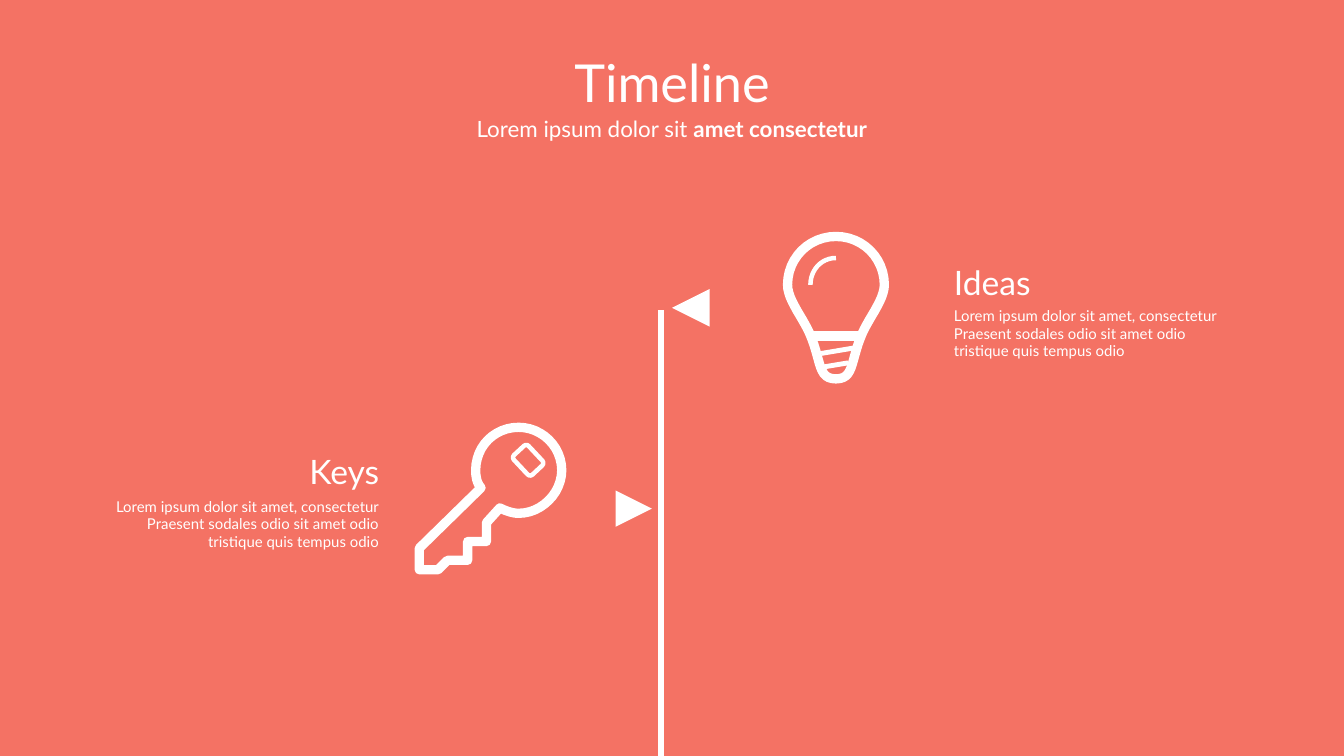
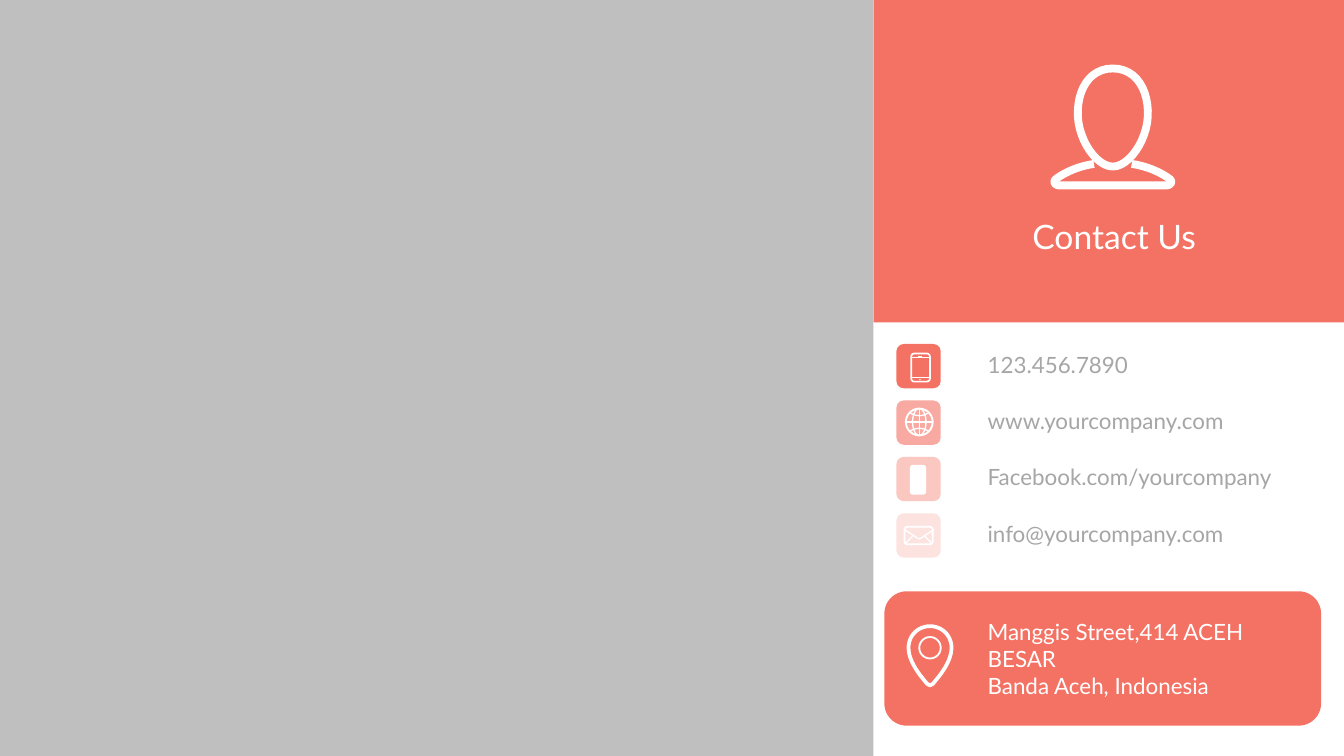
"""Build a timeline slide and a contact slide with line-drawn icons."""
from dataclasses import dataclass

from lxml import etree
from pptx import Presentation
from pptx.dml.color import RGBColor
from pptx.enum.shapes import MSO_CONNECTOR, MSO_SHAPE
from pptx.enum.text import MSO_ANCHOR, PP_ALIGN
from pptx.oxml.ns import qn
from pptx.util import Inches, Pt

RECT = MSO_SHAPE.RECTANGLE
ROUNDED = MSO_SHAPE.ROUNDED_RECTANGLE
OVAL = MSO_SHAPE.OVAL
TRIANGLE = MSO_SHAPE.FLOWCHART_EXTRACT
STRAIGHT = MSO_CONNECTOR.STRAIGHT
LEFT, CENTER, RIGHT = PP_ALIGN.LEFT, PP_ALIGN.CENTER, PP_ALIGN.RIGHT
TOP, MIDDLE = MSO_ANCHOR.TOP, MSO_ANCHOR.MIDDLE

FONT = "Lato"
COLORS = {
    "coral": "F47264",
    "coral_75": "F8AAA2",
    "coral_50": "FBC7C1",
    "coral_25": "FDE3E0",
    "white": "FFFFFF",
    "photo": "BFBFBF",
    "contact": "A6A6A6",
}
SLIDE_WIDTH = Inches(10)
SLIDE_HEIGHT = SLIDE_WIDTH * 9 // 16
CURVE_STEPS = 12
LOREM = ("Lorem ipsum dolor sit amet, consectetur Praesent sodales odio "
         "sit amet odio tristique quis tempus odio")

Point = tuple[float, float]
Box = tuple[float, float, float, float]


@dataclass(frozen=True)
class Stroke:
    """A path of points and six-number curves, mirrored about an axis if given."""
    start: Point
    segments: list[tuple[float, ...]]
    weight: float
    closed: bool = False
    axis: float | None = None

    def points(self) -> list[Point]:
        """Return the path as points, with its curves sampled."""
        found = [self.start]
        for segment in self.segments:
            if len(segment) == 2:
                found.append(segment)
                continue
            corners = [found[-1], segment[:2], segment[2:4], segment[4:]]
            for step in range(1, CURVE_STEPS + 1):
                t = step / CURVE_STEPS
                shares = ((1 - t) ** 3, 3 * t * (1 - t) ** 2,
                          3 * t * t * (1 - t), t ** 3)
                found.append((sum(s * c[0] for s, c in zip(shares, corners)),
                              sum(s * c[1] for s, c in zip(shares, corners))))
        if self.axis is not None:
            found += [(2 * self.axis - x, y) for x, y in reversed(found)]
        return found


@dataclass(frozen=True)
class Ring:
    """A preset shape drawn as an outline, or solid where the weight is zero."""
    kind: int
    box: Box
    weight: float = 0
    rotation: float = 0


Icon = list[Stroke | Ring]


@dataclass(frozen=True)
class Milestone:
    """One stop on the timeline, with its heading, pointer and icon."""
    heading: str
    heading_box: Box
    body_box: Box
    align: int
    pointer_box: Box
    pointer_rotation: float
    icon: Icon


@dataclass(frozen=True)
class Contact:
    """One contact row with its badge colour and icon."""
    label: str
    color: str
    icon: Icon


KEY: Icon = [
    Stroke((3.58, 3.63), [
        (3.12, 4.08), (3.12, 4.24), (3.26, 4.24), (3.33, 4.17), (3.48, 4.17),
        (3.48, 4.03), (3.62, 4.03), (3.62, 3.89), (3.72, 3.78),
        (3.76, 3.8, 3.81, 3.82, 3.86, 3.82),
        (4.03, 3.82, 4.18, 3.67, 4.18, 3.5),
        (4.18, 3.32, 4.03, 3.18, 3.86, 3.18),
        (3.68, 3.18, 3.54, 3.32, 3.54, 3.5),
        (3.54, 3.55, 3.55, 3.6, 3.58, 3.63)], 5, closed=True),
    Ring(ROUNDED, (3.83, 3.35, 0.2, 0.15), 2.4, 47),
]
BULB: Icon = [
    Stroke((6.22, 1.76), [
        (6.42, 1.76, 6.58, 1.92, 6.58, 2.12),
        (6.58, 2.24, 6.45, 2.38, 6.4, 2.52),
        (6.33, 2.7, 6.35, 2.82, 6.22, 2.82)], 5, closed=True, axis=6.22),
    Stroke((6.03, 2.5), [(6.41, 2.5)], 5),
    Stroke((6.11, 2.63), [(6.35, 2.59)], 2.6),
    Stroke((6.13, 2.73), [(6.31, 2.7)], 2.6),
    Stroke((6.03, 2.12), [(6.03, 2.01, 6.11, 1.92, 6.22, 1.92)], 2.4),
]
PHONE: Icon = [
    Ring(ROUNDED, (0.11, 0.07, 0.14, 0.21), 0.9),
    Stroke((0.11, 0.1), [(0.25, 0.1)], 0.6),
    Stroke((0.11, 0.25), [(0.25, 0.25)], 0.6),
    Stroke((0.16, 0.09), [(0.19, 0.09)], 0.5),
    Ring(OVAL, (0.17, 0.26, 0.01, 0.01)),
]
GLOBE: Icon = [
    Ring(OVAL, (0.07, 0.06, 0.2, 0.2), 1),
    Ring(OVAL, (0.12, 0.06, 0.1, 0.2), 0.7),
    Stroke((0.07, 0.16), [(0.27, 0.16)], 0.7),
    Stroke((0.17, 0.06), [(0.17, 0.26)], 0.7),
    Stroke((0.1, 0.09), [(0.14, 0.12, 0.2, 0.12, 0.24, 0.09)], 0.7),
    Stroke((0.1, 0.23), [(0.14, 0.2, 0.2, 0.2, 0.24, 0.23)], 0.7),
]
SOCIAL: Icon = [Ring(ROUNDED, (0.1, 0.06, 0.12, 0.22))]
ENVELOPE: Icon = [
    Ring(ROUNDED, (0.06, 0.1, 0.21, 0.13), 1),
    Stroke((0.06, 0.12), [(0.15, 0.18), (0.17, 0.19)], 0.7, axis=0.17),
    Stroke((0.07, 0.22), [(0.12, 0.17)], 0.7),
    Stroke((0.26, 0.22), [(0.21, 0.17)], 0.7),
]
PIN: Icon = [
    Stroke((6.92, 4.66), [
        (7.01, 4.66, 7.08, 4.73, 7.08, 4.82),
        (7.08, 4.92, 7, 5.02, 6.94, 5.09),
        (6.92, 5.1)], 2, closed=True, axis=6.92),
    Ring(OVAL, (6.84, 4.74, 0.16, 0.16), 1),
]
PERSON: Icon = [
    Stroke((8.28, 0.51), [
        (8.46, 0.51, 8.55, 0.68, 8.54, 0.87),
        (8.53, 1.05, 8.4, 1.24, 8.28, 1.24)], 4.2, closed=True, axis=8.28),
    Stroke((8.14, 1.22), [
        (8, 1.24, 7.9, 1.3, 7.86, 1.33),
        (7.83, 1.35, 7.85, 1.38, 7.88, 1.38)], 4.2, axis=8.28),
    Stroke((7.88, 1.38), [(8.68, 1.38)], 4.2),
]
MILESTONES = [
    Milestone("Ideas", (7, 1.9, 1.34, 0.4), (7, 2.23, 2.17, 0.5), LEFT,
              (5, 2.15, 0.28, 0.28), 270, BULB),
    Milestone("Keys", (1.58, 3.31, 1.34, 0.4), (0.75, 3.65, 2.17, 0.5), RIGHT,
              (4.58, 3.65, 0.27, 0.27), 90, KEY),
]
CONTACTS = [
    Contact("123.456.7890", "coral", PHONE),
    Contact("www.yourcompany.com", "coral_75", GLOBE),
    Contact("Facebook.com/yourcompany", "coral_50", SOCIAL),
    Contact("info@yourcompany.com", "coral_25", ENVELOPE),
]
BADGE_LEFT, BADGE_SIZE = 6.67, 0.33
CONTACT_TOP, CONTACT_PITCH = 2.56, 0.42
DETAIL_LEFT, DETAIL_WIDTH = 7.25, 2.58


def rgb(name: str) -> RGBColor:
    """Look up a palette colour."""
    return RGBColor.from_string(COLORS[name])


def new_slide(deck, color: str):
    """Add a blank slide with a plain background."""
    slide = deck.slides.add_slide(deck.slide_layouts[6])
    slide.background.fill.solid()
    slide.background.fill.fore_color.rgb = rgb(color)
    return slide


def add_text(slide, box: Box, *lines: str, size: float, color: str = "white",
             align: int = LEFT, anchor: int = TOP, bold_end: str = "") -> None:
    """Add wrapped text, with an optional bold end to its last line."""
    frame = slide.shapes.add_textbox(*map(Inches, box)).text_frame
    frame.word_wrap = True
    frame.vertical_anchor = anchor
    for index, line in enumerate(lines):
        paragraph = frame.add_paragraph() if index else frame.paragraphs[0]
        paragraph.alignment = align
        paragraph.font.name = FONT
        paragraph.font.size = Pt(size)
        paragraph.font.color.rgb = rgb(color)
        paragraph.add_run().text = line
    if bold_end:
        ending = paragraph.add_run()
        ending.text = bold_end
        ending.font.bold = True


def add_solid(slide, kind: int, box: Box, color: str, rotation: float = 0) -> None:
    """Add a filled preset shape without outline."""
    solid = slide.shapes.add_shape(kind, *map(Inches, box))
    solid.shadow.inherit = False
    solid.rotation = rotation
    solid.fill.solid()
    solid.fill.fore_color.rgb = rgb(color)
    solid.line.fill.background()


def set_outline(shape, weight: float) -> None:
    """Give an unfilled shape a white outline with round joins."""
    shape.shadow.inherit = False
    shape.fill.background()
    shape.line.color.rgb = rgb("white")
    shape.line.width = Pt(weight)
    etree.SubElement(shape.line._get_or_add_ln(), qn("a:round"))


def add_line(slide, start: Point, end: Point, weight: float) -> None:
    """Add a straight white line."""
    line = slide.shapes.add_connector(STRAIGHT, *map(Inches, start + end))
    line.line.color.rgb = rgb("white")
    line.line.width = Pt(weight)
    etree.SubElement(line._element.spPr, qn("a:effectLst"))


def add_stroke(slide, stroke: Stroke, origin: Point) -> None:
    """Draw a stroke from the origin, as a line or a freeform."""
    points = [(origin[0] + x, origin[1] + y) for x, y in stroke.points()]
    if len(points) == 2:
        add_line(slide, points[0], points[1], stroke.weight)
        return
    vertices = [(Inches(x), Inches(y)) for x, y in points]
    builder = slide.shapes.build_freeform(*vertices[0])
    builder.add_line_segments(vertices[1:], close=stroke.closed)
    set_outline(builder.convert_to_shape(), stroke.weight)


def add_ring(slide, ring: Ring, origin: Point) -> None:
    """Draw a ring from the origin."""
    left, top, width, height = ring.box
    box = (origin[0] + left, origin[1] + top, width, height)
    if not ring.weight:
        add_solid(slide, ring.kind, box, "white")
        return
    outline = slide.shapes.add_shape(ring.kind, *map(Inches, box))
    outline.rotation = ring.rotation
    set_outline(outline, ring.weight)


def add_icon(slide, icon: Icon, origin: Point = (0, 0)) -> None:
    """Draw every part of an icon."""
    for part in icon:
        if isinstance(part, Stroke):
            add_stroke(slide, part, origin)
        else:
            add_ring(slide, part, origin)


def build_timeline(deck) -> None:
    """Build the timeline slide."""
    slide = new_slide(deck, "coral")
    add_text(slide, (0.5, 0.41, 9, 0.4), "Timeline", size=28, align=CENTER,
             anchor=MIDDLE)
    add_text(slide, (0.5, 0.81, 9, 0.33), "Lorem ipsum dolor sit ", size=12,
             align=CENTER, bold_end="amet consectetur")
    add_line(slide, (4.92, 2.31), (4.92, SLIDE_HEIGHT.inches if hasattr(
        SLIDE_HEIGHT, "inches") else SLIDE_HEIGHT / Inches(1)), 3)
    for stop in MILESTONES:
        add_solid(slide, TRIANGLE, stop.pointer_box, "white", stop.pointer_rotation)
        add_text(slide, stop.body_box, LOREM, size=8, align=stop.align)
        add_text(slide, stop.heading_box, stop.heading, size=18, align=stop.align)
        add_icon(slide, stop.icon)


def build_contact(deck) -> None:
    """Build the contact slide."""
    slide = new_slide(deck, "white")
    add_solid(slide, RECT, (0, 0, 6.5, SLIDE_HEIGHT / Inches(1)), "photo")
    for row, contact in enumerate(CONTACTS):
        top = CONTACT_TOP + row * CONTACT_PITCH
        add_solid(slide, ROUNDED, (BADGE_LEFT, top, BADGE_SIZE, BADGE_SIZE),
                  contact.color)
        add_icon(slide, contact.icon, (BADGE_LEFT, top))
        add_text(slide, (DETAIL_LEFT, top, DETAIL_WIDTH, 0.3), contact.label,
                 size=12, color="contact", anchor=MIDDLE)
    add_solid(slide, ROUNDED, (6.58, 4.4, 3.25, 1), "coral")
    add_icon(slide, PIN)
    add_text(slide, (DETAIL_LEFT, 4.65, DETAIL_WIDTH, 0.5),
             "Manggis Street,414 ACEH BESAR", "Banda Aceh, Indonesia",
             size=12, anchor=MIDDLE)
    add_solid(slide, RECT, (6.5, 0, 3.5, 2.4), "coral")
    add_icon(slide, PERSON)
    add_text(slide, (7, 1.56, DETAIL_WIDTH, 0.4), "Contact Us", size=18,
             align=CENTER, anchor=MIDDLE)


def main() -> None:
    """Build and save the deck."""
    deck = Presentation()
    deck.slide_width, deck.slide_height = SLIDE_WIDTH, SLIDE_HEIGHT
    build_timeline(deck)
    build_contact(deck)
    deck.save("out.pptx")


if __name__ == "__main__":
    main()
